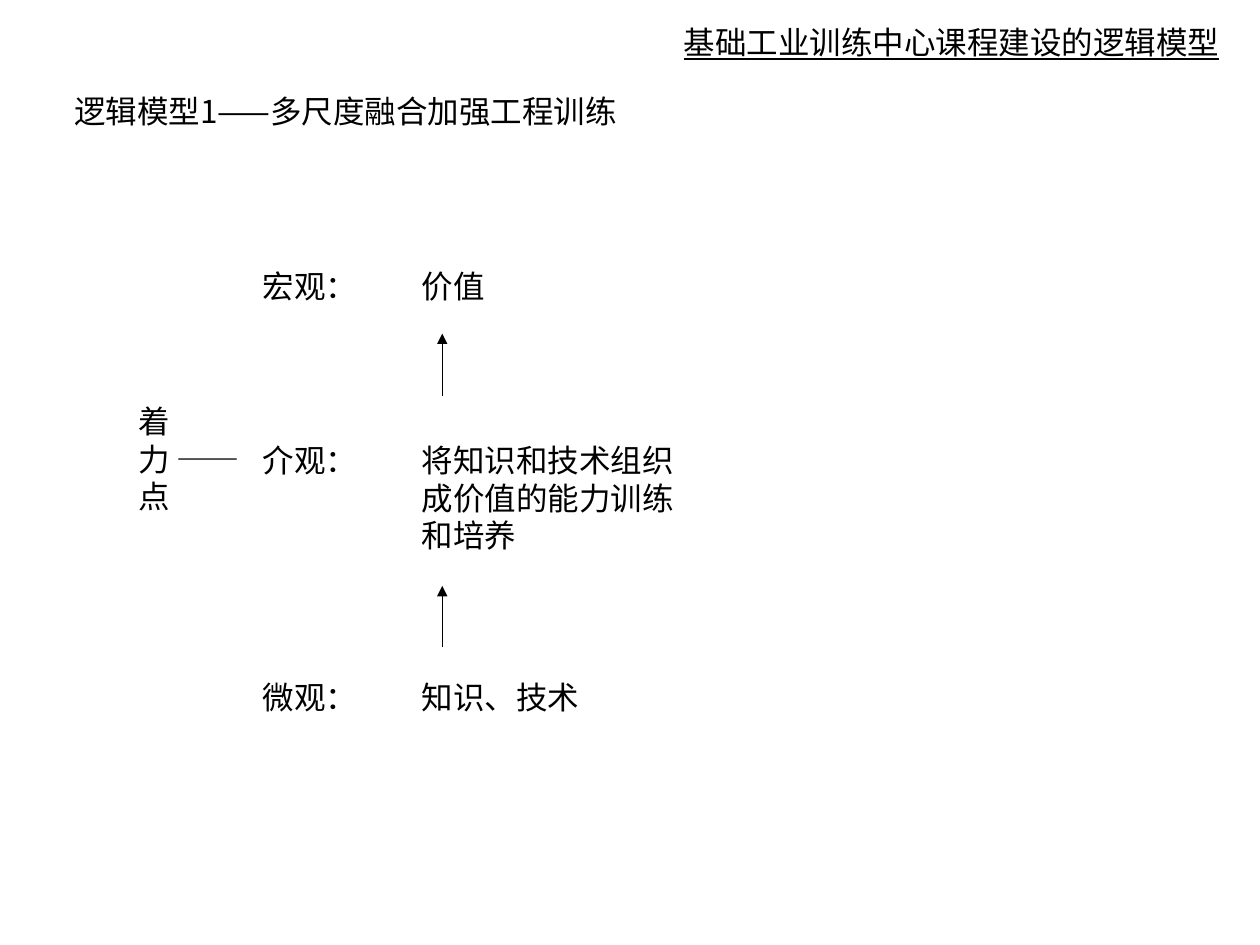
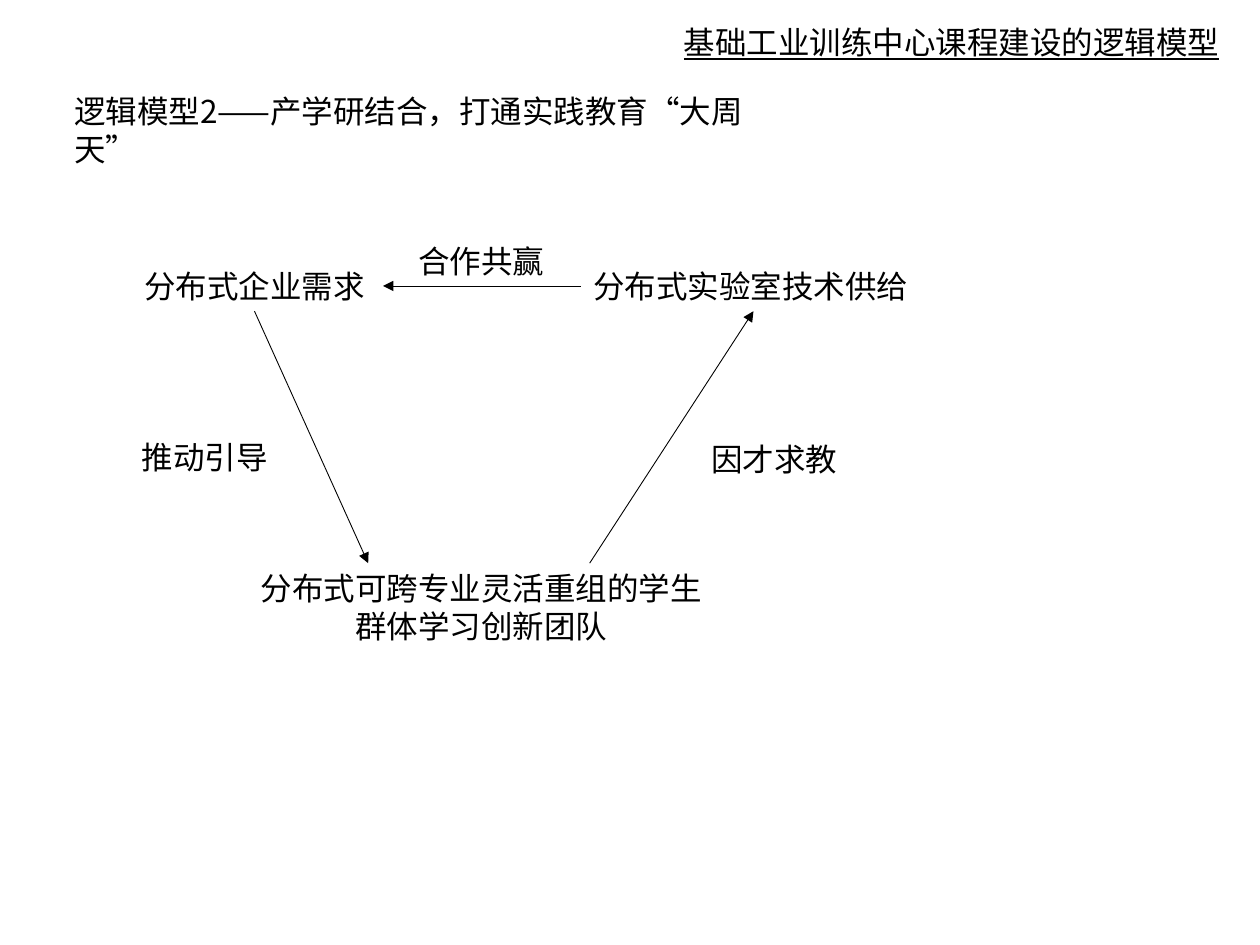
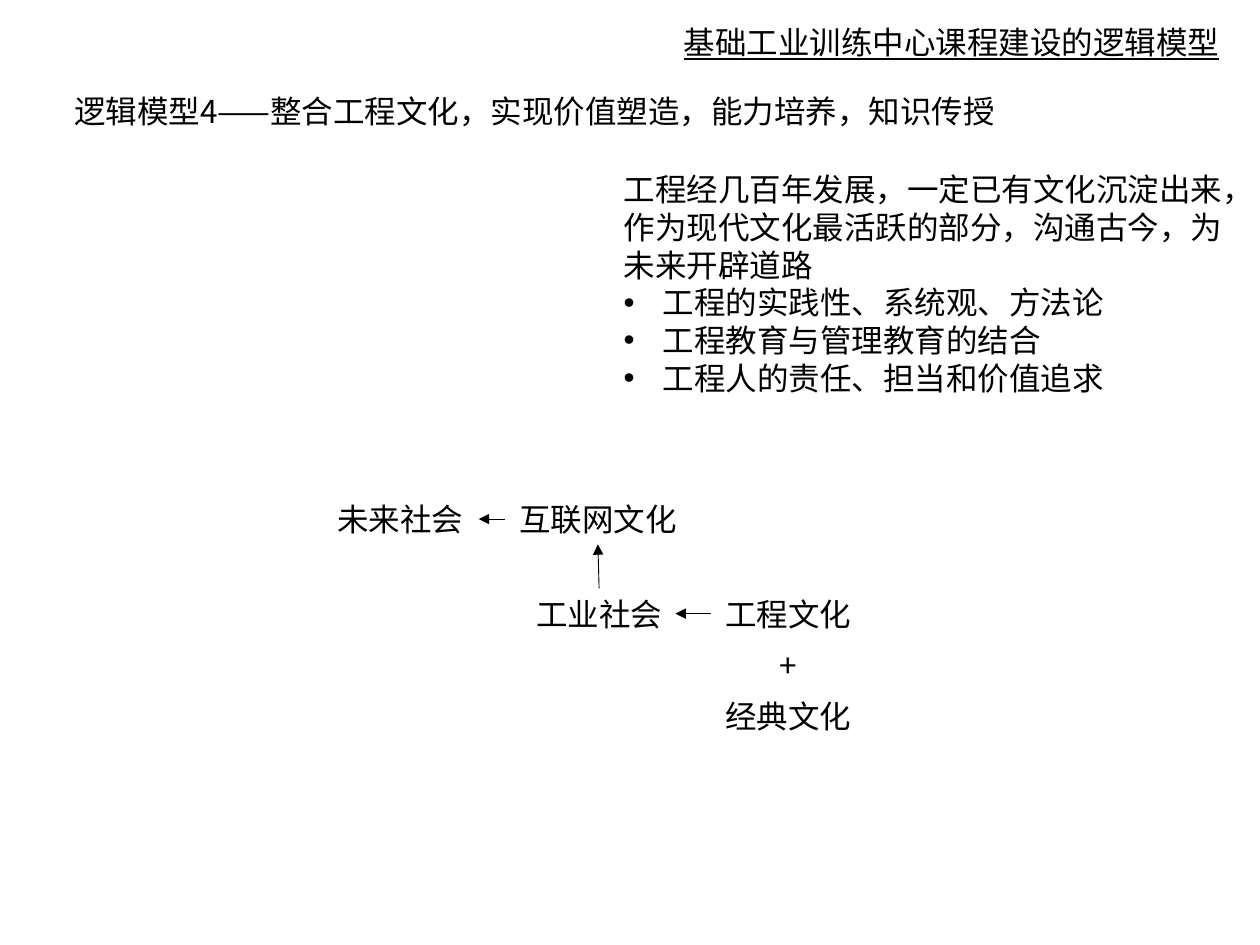
"""Build three slides on the logic models behind a training centre's courses."""
import lxml.etree
import pptx
import pptx.dml.color
import pptx.enum.shapes
import pptx.enum.text
import pptx.oxml.ns
import pptx.util

WIDTH, HEIGHT = 10, 7.5
FONT = "Noto Sans CJK SC"
TEXT_SIZE = 18
LINE_HEIGHT, PADDING = 0.3, 0.1
BULLET_INDENT = 0.31
BLACK = pptx.dml.color.RGBColor(0, 0, 0)
LEFT = pptx.enum.text.PP_ALIGN.LEFT
CENTER = pptx.enum.text.PP_ALIGN.CENTER

HEADER = "基础工业训练中心课程建设的逻辑模型"
HEADER_PLACE = (5.33, 0.13, 4.49)
TITLE_LEFT, TITLE_TOP = 0.49, 0.68

LEVEL_LEFT, MEANING_LEFT = 1.89, 3.25
MACRO_ROW, MESO_ROW, MICRO_ROW = 2.07, 3.45, 5.33
SUPPLY_ROW = 2.07
FUTURE_ROW, INDUSTRY_ROW, PLUS_ROW, CLASSIC_ROW = 3.92, 4.67, 5.08, 5.48
CULTURE_LEFT = 5.64

ENTERPRISE, LABORATORY = "分布式企业需求", "分布式实验室技术供给"
TEAM = "分布式可跨专业灵活重组的学生群体学习创新团队"
FUTURE, INTERNET, INDUSTRY, ENGINEERING = "未来社会", "互联网文化", "工业社会", "工程文化"

# Labels: text, left, top, width, lines, alignment. Arrow ends: box, share across, share down.
SLIDES = [
    {
        "title": ("逻辑模型1——多尺度融合加强工程训练", 4.61),
        "labels": [
            ("微观：", LEVEL_LEFT, MICRO_ROW, 1.14, 1, CENTER),
            ("介观：", LEVEL_LEFT, MESO_ROW, 1.14, 1, CENTER),
            ("宏观：", LEVEL_LEFT, MACRO_ROW, 1.14, 1, CENTER),
            ("价值", MEANING_LEFT, MACRO_ROW, 1.14, 1, LEFT),
            ("将知识和技术组织成价值的能力训练和培养", MEANING_LEFT, MESO_ROW, 2.31, 3, LEFT),
            ("知识、技术", MEANING_LEFT, MICRO_ROW, 1.55, 1, LEFT),
            ("着\n力 ——\n点", 1, 3.14, 1.05, 3, LEFT),
        ],
        "arrows": [
            (("slide", 0.351, 0.419), ("slide", 0.351, 0.353)),
            (("slide", 0.351, 0.685), ("slide", 0.351, 0.62)),
        ],
    },
    {
        "title": ("逻辑模型2——产学研结合，打通实践教育“大周天”", 5.83),
        "labels": [
            ("因才求教", 5.52, 3.44, 1.25, 1, CENTER),
            (ENTERPRISE, 1, SUPPLY_ROW, 2.04, 1, CENTER),
            ("合作共赢", 3.14, 1.87, 1.36, 1, CENTER),
            (LABORATORY, 4.61, SUPPLY_ROW, 2.74, 1, LEFT),
            (TEAM, 1.95, 4.47, 3.74, 2, CENTER),
            ("推动引导", 1, 3.43, 1.25, 1, CENTER),
        ],
        "arrows": [
            ((LABORATORY, 0, 0.5), (ENTERPRISE, 1, 0.5)),
            ((TEAM, 0.73, 0), (LABORATORY, 0.5, 1)),
            ((ENTERPRISE, 0.5, 1), (TEAM, 0.26, 0)),
        ],
    },
    {
        "title": ("逻辑模型4——整合工程文化，实现价值塑造，能力培养，知识传授", 7.64),
        "note": {
            "place": (4.85, 1.3, 5.01),
            "lines": 6,
            "intro": "工程经几百年发展，一定已有文化沉淀出来，作为现代文化最活跃的部分，沟通古今，为未来开辟道路",
            "bullets": ["工程的实践性、系统观、方法论", "工程教育与管理教育的结合", "工程人的责任、担当和价值追求"],
        },
        "labels": [
            (FUTURE, 2.55, FUTURE_ROW, 1.25, 1, CENTER),
            (INTERNET, 4.01, FUTURE_ROW, 1.47, 1, CENTER),
            (INDUSTRY, 4.15, INDUSTRY_ROW, 1.21, 1, CENTER),
            (ENGINEERING, CULTURE_LEFT, INDUSTRY_ROW, 1.23, 1, CENTER),
            ("经典文化", CULTURE_LEFT, CLASSIC_ROW, 1.23, 1, CENTER),
            ("+", CULTURE_LEFT, PLUS_ROW, 1.23, 1, CENTER),
        ],
        "arrows": [
            ((INTERNET, 0, 0.5), (FUTURE, 1, 0.5)),
            ((ENGINEERING, 0, 0.5), (INDUSTRY, 1, 0.5)),
            ((INDUSTRY, 0.5, 0), (INTERNET, 0.5, 1)),
        ],
    },
]


def add_child(parent, tag, **attributes):
    return lxml.etree.SubElement(parent, pptx.oxml.ns.qn(tag), attributes)


def add_text(slide, text, left, top, width, lines=1, alignment=LEFT, underline=None):
    box = (left, top, width, lines * LINE_HEIGHT + PADDING)
    shape = slide.shapes.add_textbox(*map(pptx.util.Inches, box))
    frame = shape.text_frame
    frame.text = text
    frame.word_wrap = True
    frame.auto_size = pptx.enum.text.MSO_AUTO_SIZE.SHAPE_TO_FIT_TEXT
    for paragraph in frame.paragraphs:
        paragraph.alignment = alignment
        for run in paragraph.runs:
            run.font.size = pptx.util.Pt(TEXT_SIZE)
            run.font.color.rgb = BLACK
            run.font.underline = underline
            run.font.name = FONT
            add_child(run.font._element, "a:ea", typeface=FONT)
    return shape, box


def add_note(slide, place, lines, intro, bullets):
    shape, _ = add_text(slide, "\n".join([intro, *bullets]), *place, lines)
    indent = pptx.util.Inches(BULLET_INDENT)
    for paragraph in shape.text_frame.paragraphs[1:]:
        properties = paragraph._p.get_or_add_pPr()
        properties.set("marL", str(indent))
        properties.set("indent", str(-indent))
        add_child(properties, "a:buFont", typeface="Arial")
        add_child(properties, "a:buChar", char="•")


def add_arrow(slide, start, end):
    connector = slide.shapes.add_connector(
        pptx.enum.shapes.MSO_CONNECTOR.STRAIGHT, *map(pptx.util.Inches, start + end)
    )
    connector.line.color.rgb = BLACK
    connector.line.width = pptx.util.Pt(0.5)
    add_child(connector.line._get_or_add_ln(), "a:tailEnd", type="triangle")
    add_child(connector._element.spPr, "a:effectLst")


def point_on(boxes, name, across, down):
    left, top, width, height = boxes[name]
    return left + across * width, top + down * height


def build_slide(presentation, content):
    slide = presentation.slides.add_slide(presentation.slide_layouts[6])
    title, title_width = content["title"]
    add_text(slide, title, TITLE_LEFT, TITLE_TOP, title_width)
    if "note" in content:
        add_note(slide, **content["note"])
    boxes = {"slide": (0, 0, WIDTH, HEIGHT)}
    for label in content["labels"]:
        _, boxes[label[0]] = add_text(slide, *label)
    for start, end in content["arrows"]:
        add_arrow(slide, point_on(boxes, *start), point_on(boxes, *end))
    add_text(slide, HEADER, *HEADER_PLACE, underline=True)


def main():
    presentation = pptx.Presentation()
    presentation.slide_width = pptx.util.Inches(WIDTH)
    presentation.slide_height = pptx.util.Inches(HEIGHT)
    for content in SLIDES:
        build_slide(presentation, content)
    presentation.save("out.pptx")


if __name__ == "__main__":
    main()
